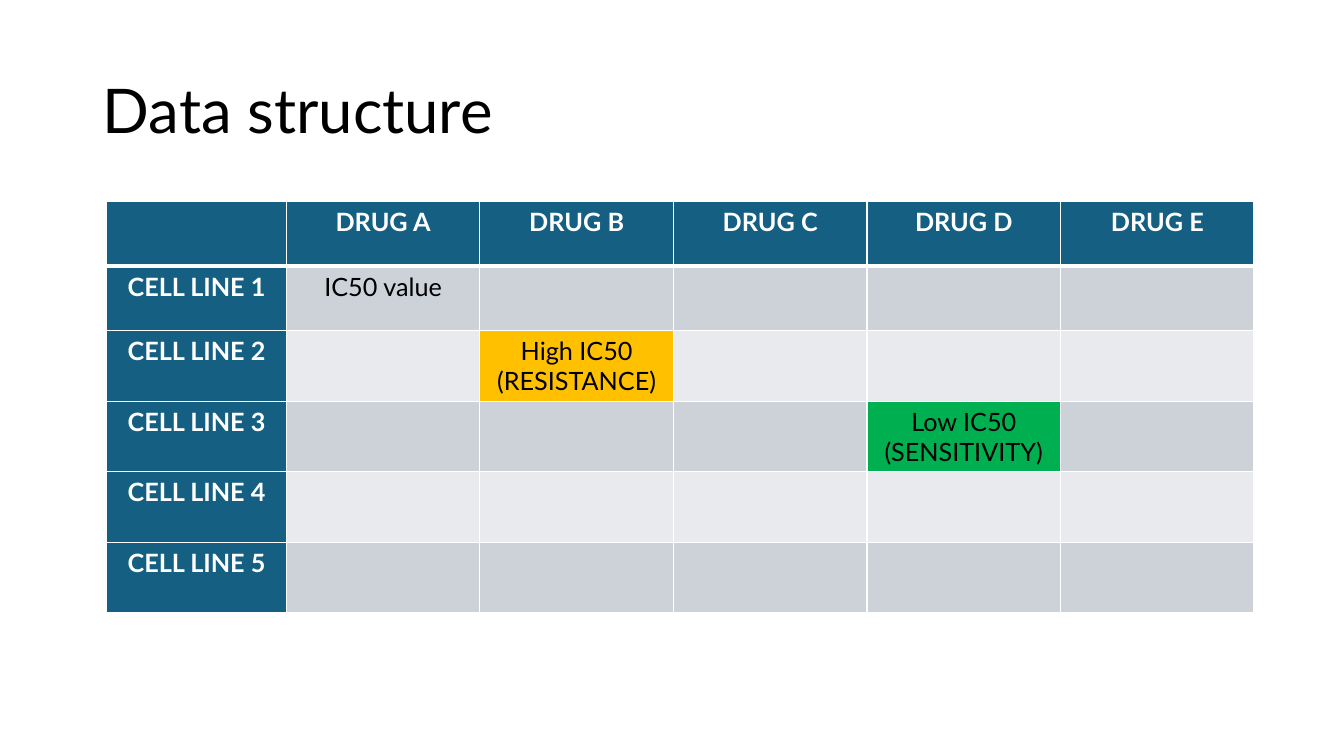
from lxml import etree
from pptx import Presentation
from pptx import util as u
from pptx.dml import color
from pptx.enum import text
from pptx.oxml import ns

COLOURS = {
    "header": "156082",
    "dark_band": "CCD2D8",
    "light_band": "E8EAED",
    "resistance": "FFC000",
    "sensitivity": "00B050",
    "white": "FFFFFF",
    "black": "000000",
}
FONT = "Lato"
DRUGS = [f"DRUG {letter}" for letter in "ABCDE"]
CELL_LINES = [f"CELL LINE {number}" for number in range(1, 6)]
RESULTS = {
    (1, 1): ("IC50 value", "dark_band"),
    (2, 2): ("High IC50\n(RESISTANCE)", "resistance"),
    (3, 4): ("Low IC50\n(SENSITIVITY)", "sensitivity"),
}
COLUMN_WIDTHS = [1.78] + [1.92] * len(DRUGS)
ROW_HEIGHTS = [0.64] * 2 + [0.7] * 4


def rgb(name):
    """Return the named colour."""
    return color.RGBColor.from_string(COLOURS[name])


def write_text(text_frame, content, size=18, colour="black", bold=False,
               align=text.PP_ALIGN.CENTER, line_spacing=1.0):
    """Fill a text frame with formatted paragraphs, one for each line."""
    text_frame.text = content
    for paragraph in text_frame.paragraphs:
        paragraph.alignment = align
        paragraph.line_spacing = line_spacing
        for run in paragraph.runs:
            run.font.name = FONT
            run.font.size = u.Pt(size)
            run.font.bold = bold
            run.font.color.rgb = rgb(colour)


def set_borders(cell, widths):
    """Draw white borders with widths in points for left, right, top and bottom."""
    properties = cell._tc.get_or_add_tcPr()
    for position, (side, width) in enumerate(zip("LRTB", widths)):
        line = etree.Element(ns.qn(f"a:ln{side}"), w=str(u.Pt(width)))
        fill = etree.SubElement(line, ns.qn("a:solidFill"))
        etree.SubElement(fill, ns.qn("a:srgbClr"), val=COLOURS["white"])
        properties.insert(position, line)


def add_title(slide, left, top, width, height):
    """Place the slide title in the given box."""
    title = slide.shapes.title
    title.left, title.top = u.Inches(left), u.Inches(top)
    title.width, title.height = u.Inches(width), u.Inches(height)
    title.text_frame.vertical_anchor = text.MSO_ANCHOR.MIDDLE
    write_text(title.text_frame, "Data structure", size=44,
               align=text.PP_ALIGN.LEFT, line_spacing=0.9)


def cell_content(row, column):
    """Return the text and fill name of a table cell."""
    if row == 0:
        return ([""] + DRUGS)[column], "header"
    if column == 0:
        return CELL_LINES[row - 1], "header"
    band = "dark_band" if row % 2 else "light_band"
    return RESULTS.get((row, column), ("", band))


def add_response_table(slide, left, top):
    """Place the table of cell lines against drugs at the given corner."""
    frame = slide.shapes.add_table(
        len(ROW_HEIGHTS), len(COLUMN_WIDTHS), u.Inches(left), u.Inches(top),
        u.Inches(sum(COLUMN_WIDTHS)), u.Inches(sum(ROW_HEIGHTS)))
    table = frame.table
    table.first_col = True
    for column, width in zip(table.columns, COLUMN_WIDTHS):
        column.width = u.Inches(width)
    for row_index, height in enumerate(ROW_HEIGHTS):
        table.rows[row_index].height = u.Inches(height)
        for column_index in range(len(COLUMN_WIDTHS)):
            cell = table.cell(row_index, column_index)
            content, fill = cell_content(row_index, column_index)
            cell.fill.solid()
            cell.fill.fore_color.rgb = rgb(fill)
            heading = fill == "header"
            write_text(cell.text_frame, content, bold=heading,
                       colour="white" if heading else "black")
            set_borders(cell, (1, 1, 3 if row_index == 1 else 1,
                               3 if row_index == 0 else 1))


def main():
    """Build and save the presentation."""
    presentation = Presentation()
    presentation.slide_width = u.Inches(13.33)
    presentation.slide_height = u.Inches(7.5)
    slide = presentation.slides.add_slide(presentation.slide_layouts[5])
    add_title(slide, 0.92, 0.4, 11.5, 1.45)
    add_response_table(slide, 1.06, 2)
    presentation.save("out.pptx")


if __name__ == "__main__":
    main()
